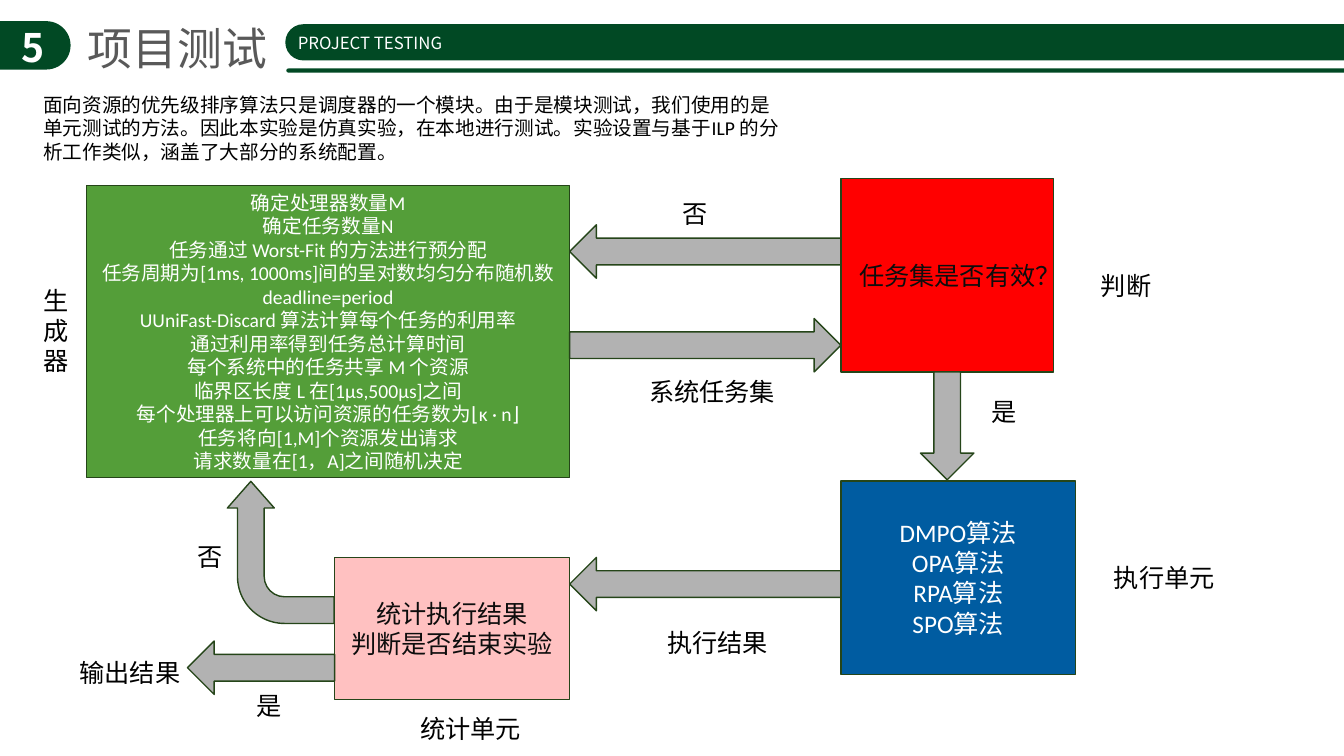
from pptx import Presentation
from pptx.dml.color import RGBColor
from pptx.enum.shapes import MSO_SHAPE
from pptx.enum.text import MSO_ANCHOR, MSO_AUTO_SIZE, PP_ALIGN
from pptx.oxml.ns import qn
from pptx.util import Inches, Pt

COLORS = {
    "brand": "014924", "outline": "254519", "arrow": "B2B2B2",
    "generator": "549E39", "check": "FF0000", "execution": "005CA1",
    "statistics": "FFC1C1", "white": "FFFFFF", "black": "000000",
    "dark": "0D0D0D", "title": "595959",
}
BODY_FONT = "Calibri"
CJK_FONT = "Noto Sans CJK SC"

INTRO = (
    "面向资源的优先级排序算法只是调度器的一个模块。由于是模块测试，我们使用的是"
    "单元测试的方法。因此本实验是仿真实验，在本地进行测试。实验设置与基于ILP 的"
    "分析工作类似，涵盖了大部分的系统配置。"
)
GENERATOR_STEPS = [
    "确定处理器数量M",
    "确定任务数量N",
    "任务通过 Worst-Fit 的方法进行预分配",
    "任务周期为[1ms, 1000ms]间的呈对数均匀分布随机数",
    "deadline=period",
    "UUniFast-Discard 算法计算每个任务的利用率",
    "通过利用率得到任务总计算时间",
    "每个系统中的任务共享 M 个资源",
    "临界区长度 L 在[1µs,500µs]之间",
    "每个处理器上可以访问资源的任务数为⌊κ · n⌋",
    "任务将向[1,M]个资源发出请求",
    "请求数量在[1，A]之间随机决定",
]
ALGORITHMS = [f"{name}算法" for name in ("DMPO", "OPA", "RPA", "SPO")]

BOXES = [
    ((0.86, 1.84, 4.79, 2.9), "generator", GENERATOR_STEPS, 14, "white"),
    ((8.34, 1.77, 2.11, 1.92), "check", ["任务集是否有效？"], 18, "dark"),
    ((8.34, 4.77, 2.33, 1.92), "execution", ALGORITHMS, 18, "white"),
    ((3.32, 5.53, 2.33, 1.41), "statistics",
     ["统计执行结果", "判断是否结束实验"], 18, "dark"),
]
ARROWS = [
    (MSO_SHAPE.RIGHT_ARROW, (5.65, 3.16, 2.69, 0.53), 0, ()),
    (MSO_SHAPE.RIGHT_ARROW, (5.65, 2.23, 2.69, 0.53), 180, ()),
    (MSO_SHAPE.DOWN_ARROW, (9.13, 3.69, 0.53, 1.07), 0, ()),
    (MSO_SHAPE.LEFT_ARROW, (5.65, 5.53, 2.69, 0.53), 0, ()),
    (MSO_SHAPE.BENT_ARROW, (2.08, 4.95, 1.41, 1.06), 270,
     (0.25, 0.22, 0.25, 0.44)),
    (MSO_SHAPE.LEFT_ARROW, (1.86, 6.36, 1.46, 0.53), 0, ()),
]
LABELS = [
    ("生\n成\n器", 0.33, 2.78, 0.45, 1.01),
    ("系统任务集", 6.34, 3.68, 1.46, 0.4),
    ("否", 6.67, 1.92, 0.45, 0.4),
    ("是", 9.74, 3.88, 0.45, 0.4),
    ("执行单元", 10.95, 5.53, 1.21, 0.4),
    ("判断", 10.82, 2.63, 0.71, 0.4),
    ("执行结果", 6.52, 6.17, 1.21, 0.4),
    ("统计单元", 4.07, 7.03, 1.21, 0.4),
    ("否", 1.86, 5.32, 0.45, 0.4),
    ("是", 2.45, 6.8, 0.45, 0.4),
    ("输出结果", 0.69, 6.47, 1.21, 0.4),
]
HEADER_BARS = [
    (-0.28, 0.21, 0.98, 0.48),
    (2.83, 0.24, 11.03, 0.36),
    (2.84, 0.68, 11.03, 0.04),
]


def rgb(name):
    return RGBColor.from_string(COLORS[name])


def write(tf, text, size, color, font=BODY_FONT, align=PP_ALIGN.LEFT, bold=False):
    tf.text = text
    for p in tf.paragraphs:
        p.alignment = align
        for r in p.runs:
            r.font.name = font
            r.font.size = Pt(size)
            r.font.bold = bold
            r.font.color.rgb = rgb(color)
            ea = r._r.get_or_add_rPr().makeelement(qn("a:ea"), {"typeface": CJK_FONT})
            r.font._element.find(qn("a:latin")).addnext(ea)


def add_label(s, text, box, size=18, color="black", wrap=False, **style):
    sp = s.shapes.add_textbox(*map(Inches, box))
    tf = sp.text_frame
    tf.word_wrap = wrap
    tf.auto_size = MSO_AUTO_SIZE.SHAPE_TO_FIT_TEXT
    write(tf, text, size, color, **style)


def add_filled(s, kind, box, fill, outline=None):
    sp = s.shapes.add_shape(kind, *map(Inches, box))
    sp.shadow.inherit = False
    sp.fill.solid()
    sp.fill.fore_color.rgb = rgb(fill)
    if outline:
        sp.line.color.rgb = rgb(outline)
        sp.line.width = Pt(1)
    else:
        sp.line.fill.background()
    return sp


def add_box(s, box, fill, lines, size, color):
    sp = add_filled(s, MSO_SHAPE.RECTANGLE, box, fill, "outline")
    tf = sp.text_frame
    tf.word_wrap = True
    tf.vertical_anchor = MSO_ANCHOR.MIDDLE
    write(tf, "\n".join(lines), size, color, align=PP_ALIGN.CENTER)


def add_arrow(s, kind, box, rotation, adjustments):
    sp = add_filled(s, kind, box, "arrow", "outline")
    sp.rotation = rotation
    for i, value in enumerate(adjustments):
        sp.adjustments[i] = value


def add_header(s):
    for box in HEADER_BARS:
        add_filled(s, MSO_SHAPE.ROUNDED_RECTANGLE, box, "brand").adjustments[0] = 0.5
    add_label(s, "5", (0.07, 0.18, 0.51, 0.57), 28, "white", wrap=True,
              font=CJK_FONT, align=PP_ALIGN.CENTER, bold=True)
    add_label(s, "PROJECT TESTING", (2.84, 0.28, 1.66, 0.3), 12, "white",
              font=CJK_FONT, align=PP_ALIGN.CENTER)
    title = s.shapes.title
    title.left, title.top, title.width, title.height = map(
        Inches, (0.77, 0.16, 2, 0.64))
    tf = title.text_frame
    tf.word_wrap = False
    tf.auto_size = MSO_AUTO_SIZE.SHAPE_TO_FIT_TEXT
    tf.vertical_anchor = MSO_ANCHOR.TOP
    write(tf, "项目测试", 32, "title", font=CJK_FONT)


def main():
    prs = Presentation()
    prs.slide_width, prs.slide_height = Inches(13.33), Inches(7.5)
    s = prs.slides.add_slide(prs.slide_layouts[5])
    add_header(s)
    add_label(s, INTRO, (0.33, 0.87, 7.54, 0.81), 14, wrap=True)
    for box in BOXES:
        add_box(s, *box)
    for arrow in ARROWS:
        add_arrow(s, *arrow)
    for text, *box in LABELS:
        add_label(s, text, box)
    prs.save("out.pptx")


if __name__ == "__main__":
    main()
